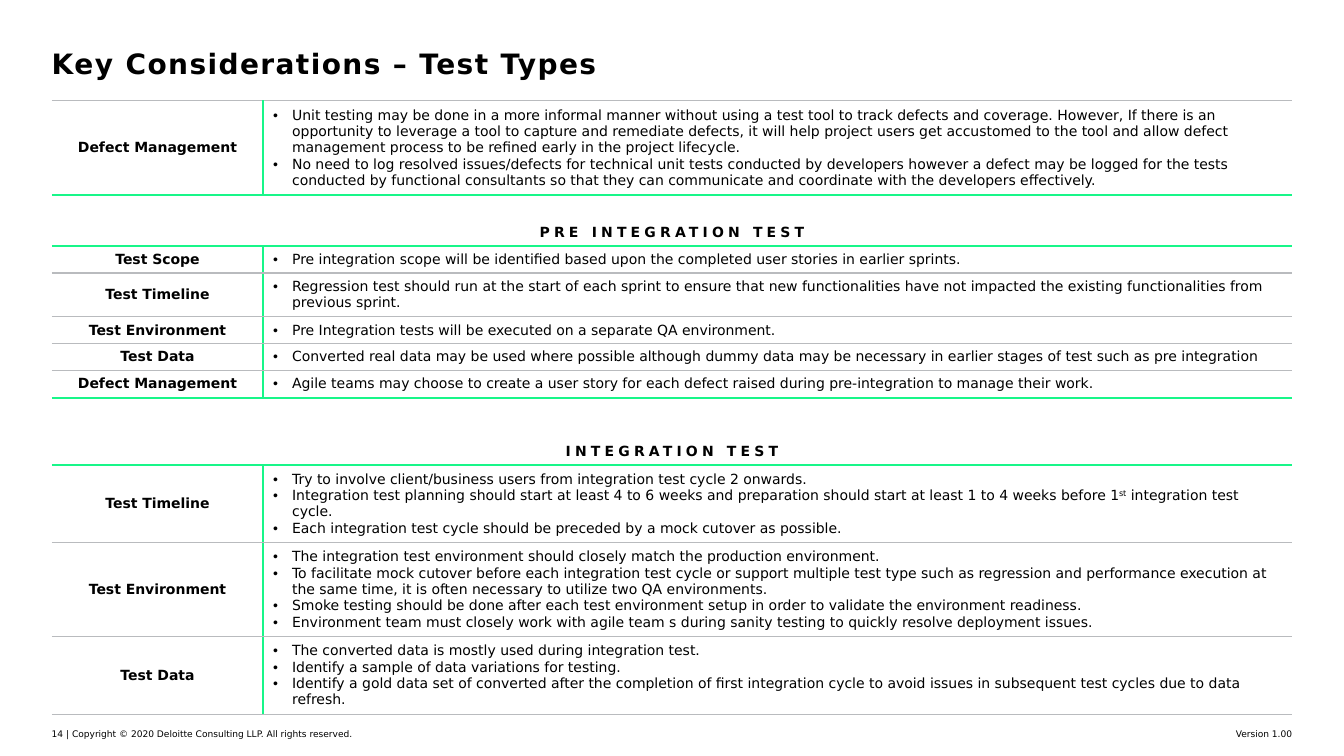
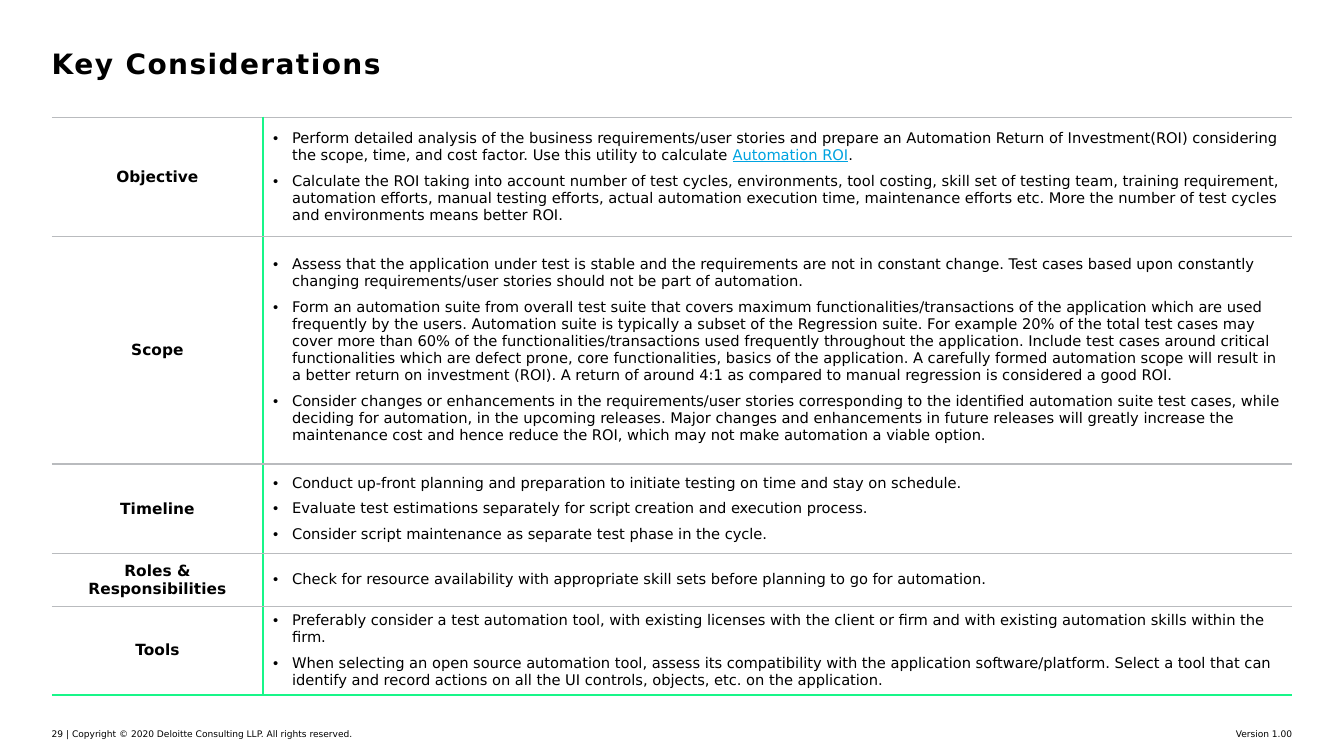
from pptx import Presentation
from pptx.dml.color import RGBColor
from pptx.enum.text import MSO_ANCHOR as Anchor, PP_ALIGN as Align
from pptx.oxml.ns import qn
from pptx.util import Pt
from lxml.etree import SubElement

COLORS = {"text": "000000", "rule": "B9BBBE", "accent": "18F689", "link": "00A3E0"}
FONT = "DejaVu Sans"
PLAIN_TABLE = "{2D5ABB26-0587-4C30-8999-92F81FD0307C}"
LEFT, WIDTH, LABEL_WIDTH, INDENT = 37, 886, 151, 13.5
FOOTER_TOP, FOOTER_HEIGHT, VERSION_WIDTH = 520.5, 8, 223

RULE = ("rule", 1)
ACCENT = ("accent", 1.5)
STYLES = {
    "title": {"size": 20, "bold": True, "spacing": 1},
    "footer": {"size": 6.5},
    "heading": {"size": 10, "bold": True, "spacing": 3},
    "compact": {"label": {"size": 10, "bold": True}, "body": {"size": 10}, "after": 0},
    "roomy": {"label": {"size": 11, "bold": True}, "body": {"size": 10.5}, "after": 6},
}

SLIDES = [
    {
        "number": 14,
        "title": "Key Considerations – Test Types",
        "style": "compact",
        "sections": [
            {"top": 72, "end": ACCENT, "rows": [
                ("Defect Management", 65.5, [
                    "Unit testing may be done in a more informal manner without using a test tool to track defects and coverage. However, If there is an opportunity to leverage a tool to capture and remediate defects, it will help project users get accustomed to the tool and allow defect management process to be refined early in the project lifecycle.",
                    "No need to log resolved issues/defects for technical unit tests conducted by developers however a defect may be logged for the tests conducted by functional consultants so that they can communicate and coordinate with the developers effectively.",
                ]),
            ]},
            {"top": 156.5, "end": ACCENT, "heading": ("PRE INTEGRATION TEST", 19), "rows": [
                ("Test Scope", 19, [
                    "Pre integration scope will be identified based upon the completed user stories in earlier sprints.",
                ]),
                ("Test Timeline", 30.5, [
                    "Regression test should run at the start of each sprint to ensure that new functionalities have not impacted the existing functionalities from previous sprint.",
                ]),
                ("Test Environment", 19, [
                    "Pre Integration tests will be executed on a separate QA environment.",
                ]),
                ("Test Data", 19, [
                    "Converted real data may be used where possible although dummy data may be necessary in earlier stages of test such as pre integration",
                ]),
                ("Defect Management", 19, [
                    "Agile teams may choose to create a user story for each defect raised during pre-integration to manage their work.",
                ]),
            ]},
            {"top": 313, "end": RULE, "heading": ("INTEGRATION TEST", 19), "rows": [
                ("Test Timeline", 54.7, [
                    "Try to involve client/business users from integration test cycle 2 onwards.",
                    [
                        ("Integration test planning should start at least 4 to 6 weeks and preparation should start at least 1 to 4 weeks before 1", {}),
                        ("st", {"baseline": 30}),
                        (" integration test cycle.", {}),
                    ],
                    "Each integration test cycle should be preceded by a mock cutover as possible.",
                ]),
                ("Test Environment", 65.4, [
                    "The integration test environment should closely match the production environment.",
                    "To facilitate mock cutover before each integration test cycle or support multiple test type such as regression and performance execution at the same time, it is often necessary to utilize two QA environments.",
                    "Smoke testing should be done after each test environment setup in order to validate the environment readiness.",
                    "Environment team must closely work with agile team s during sanity testing to quickly resolve deployment issues.",
                ]),
                ("Test Data", 54, [
                    "The converted data is mostly used during integration test.",
                    "Identify a sample of data variations for testing.",
                    "Identify a gold data set of converted after the completion of first integration cycle to avoid issues in subsequent test cycles due to data refresh.",
                ]),
            ]},
        ],
    },
    {
        "number": 29,
        "title": "Key Considerations",
        "style": "roomy",
        "sections": [
            {"top": 83.75, "end": ACCENT, "rows": [
                ("Objective", 85, [
                    [
                        ("Perform detailed analysis of the business requirements/user stories and prepare an Automation Return of Investment(ROI) considering the scope, time, and cost factor. Use this utility to calculate ", {}),
                        ("Automation ROI", {"color": "link", "underline": True}),
                        (".", {}),
                    ],
                    "Calculate the ROI taking into account number of test cycles, environments, tool costing, skill set of testing team, training requirement, automation efforts, manual testing efforts, actual automation execution time, maintenance efforts etc. More the number of test cycles and environments means better ROI.",
                ]),
                ("Scope", 162.75, [
                    "Assess that the application under test is stable and the requirements are not in constant change. Test cases based upon constantly changing requirements/user stories should not be part of automation.",
                    "Form an automation suite from overall test suite that covers maximum functionalities/transactions of the application which are used frequently by the users. Automation suite is typically a subset of the Regression suite. For example 20% of the total test cases may cover more than 60% of the functionalities/transactions used frequently throughout the application. Include test cases around critical functionalities which are defect prone, core functionalities, basics of the application. A carefully formed automation scope will result in a better return on investment (ROI). A return of around 4:1 as compared to manual regression is considered a good ROI.",
                    "Consider changes or enhancements in the requirements/user stories corresponding to the identified automation suite test cases, while deciding for automation, in the upcoming releases. Major changes and enhancements in future releases will greatly increase the maintenance cost and hence reduce the ROI, which may not make automation a viable option.",
                ]),
                ("Timeline", 64, [
                    "Conduct up-front planning and preparation to initiate testing on time and stay on schedule.",
                    "Evaluate test estimations separately for script creation and execution process.",
                    "Consider script maintenance as separate test phase in the cycle.",
                ]),
                ("Roles & Responsibilities", 37.5, [
                    "Check for resource availability with appropriate skill sets before planning to go for automation.",
                ]),
                ("Tools", 62, [
                    "Preferably consider a test automation tool, with existing licenses with the client or firm and with existing automation skills within the firm.",
                    "When selecting an open source automation tool, assess its compatibility with the application software/platform. Select a tool that can identify and record actions on all the UI controls, objects, etc. on the application.",
                ]),
            ]},
        ],
    },
]


def add_run(paragraph, text, style):
    run = paragraph.add_run()
    run.text = text
    look = {"name": FONT, "bold": False, "color": "text", **style}
    look["size"] = Pt(look["size"])
    run.font.color.rgb = RGBColor.from_string(COLORS[look.pop("color")])
    for key, scale in (("spacing", 100), ("baseline", 1000)):
        if key in look:
            attribute = "spc" if key == "spacing" else key
            run._r.get_or_add_rPr().set(attribute, str(look.pop(key) * scale))
    for key, value in look.items():
        setattr(run.font, key, value)


def add_line(slide, text, left, top, width, height, style, align=Align.LEFT):
    frame = slide.shapes.add_textbox(Pt(left), Pt(top), Pt(width), Pt(height)).text_frame
    layout = {"word_wrap": True, "vertical_anchor": Anchor.MIDDLE, "margin_left": 0,
              "margin_right": 0, "margin_top": 0, "margin_bottom": 0}
    for key, value in layout.items():
        setattr(frame, key, value)
    frame.paragraphs[0].alignment = align
    add_run(frame.paragraphs[0], text, style)


def finish_cell(cell, **borders):
    properties = cell._tc.get_or_add_tcPr()
    for side in "LRTB":
        color, weight = borders.get(side) or (None, 0)
        line = SubElement(properties, qn(f"a:ln{side}"), w=str(Pt(weight)))
        if color:
            fill = SubElement(line, qn("a:solidFill"))
            SubElement(fill, qn("a:srgbClr"), val=COLORS[color])
        else:
            SubElement(line, qn("a:noFill"))
    cell.fill.background()
    cell.vertical_anchor = Anchor.MIDDLE


def write_label(cell, text, style):
    paragraph = cell.text_frame.paragraphs[0]
    paragraph.alignment = Align.CENTER
    add_run(paragraph, text, style)


def write_bullets(cell, points, style):
    frame = cell.text_frame
    for index, point in enumerate(points):
        paragraph = frame.add_paragraph() if index else frame.paragraphs[0]
        properties = paragraph._p.get_or_add_pPr()
        properties.set("marL", str(Pt(INDENT)))
        properties.set("indent", str(-Pt(INDENT)))
        SubElement(properties, qn("a:buFont"), typeface="Arial")
        SubElement(properties, qn("a:buChar"), char="•")
        paragraph.space_after = Pt(style["after"])
        for text, extra in [(point, {})] if isinstance(point, str) else point:
            add_run(paragraph, text, {**style["body"], **extra})


def add_section(slide, section, style):
    heading, rows = section.get("heading"), section["rows"]
    heights = ([heading[1]] if heading else []) + [height for _, height, _ in rows]
    table = slide.shapes.add_table(
        len(heights), 2, Pt(LEFT), Pt(section["top"]), Pt(WIDTH), Pt(sum(heights))).table
    table.first_row = table.horz_banding = False
    table._tbl.tblPr.find(qn("a:tableStyleId")).text = PLAIN_TABLE
    for column, width in zip(table.columns, (LABEL_WIDTH, WIDTH - LABEL_WIDTH)):
        column.width = Pt(width)
    for row, height in zip(table.rows, heights):
        row.height = Pt(height)
    if heading:
        table.cell(0, 0).merge(table.cell(0, 1))
        write_label(table.cell(0, 0), heading[0], STYLES["heading"])
        for cell in table.rows[0].cells:
            finish_cell(cell, B=ACCENT)
    first = 1 if heading else 0
    for index, (label, _, points) in enumerate(rows, first):
        top = ACCENT if heading and index == first else RULE
        bottom = section["end"] if index == len(heights) - 1 else RULE
        label_cell, points_cell = table.cell(index, 0), table.cell(index, 1)
        write_label(label_cell, label, style["label"])
        write_bullets(points_cell, points, style)
        finish_cell(label_cell, R=ACCENT, T=top, B=bottom)
        finish_cell(points_cell, L=ACCENT, T=top, B=bottom)


def main():
    deck = Presentation()
    deck.slide_width, deck.slide_height = Pt(960), Pt(540)
    for content in SLIDES:
        slide = deck.slides.add_slide(deck.slide_layouts[6])
        add_line(slide, content["title"], LEFT, 31.5, WIDTH, 27, STYLES["title"])
        copyright_line = f"{content['number']} | Copyright © 2020 Deloitte Consulting LLP. All rights reserved."
        add_line(slide, copyright_line, LEFT, FOOTER_TOP, WIDTH / 2, FOOTER_HEIGHT, STYLES["footer"])
        add_line(slide, "Version 1.00", LEFT + WIDTH - VERSION_WIDTH, FOOTER_TOP,
                 VERSION_WIDTH, FOOTER_HEIGHT, STYLES["footer"], Align.RIGHT)
        for section in content["sections"]:
            add_section(slide, section, STYLES[content["style"]])
    deck.save("out.pptx")


if __name__ == "__main__":
    main()
